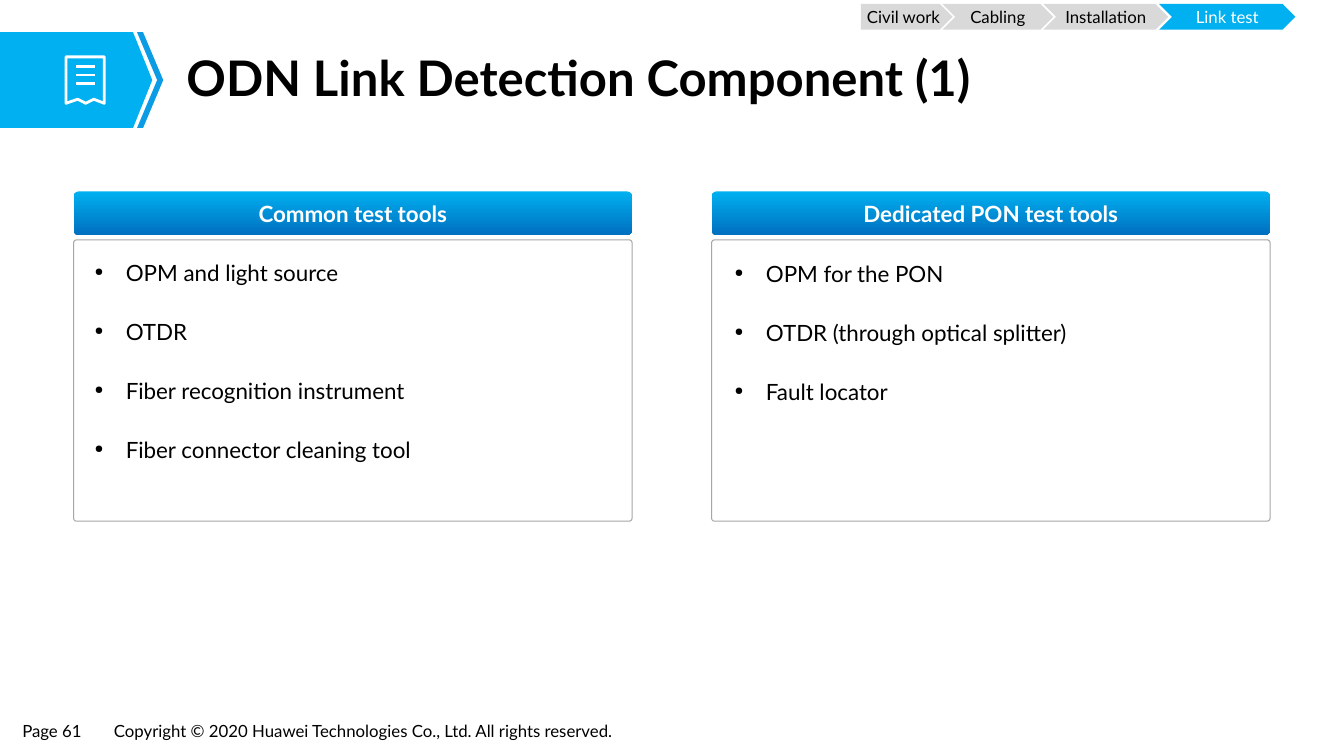
from dataclasses import dataclass
from typing import Any, NamedTuple

from lxml import etree
from pptx import Presentation
from pptx.dml.color import RGBColor
from pptx.enum.shapes import MSO_CONNECTOR, MSO_SHAPE
from pptx.enum.text import MSO_ANCHOR, MSO_AUTO_SIZE, PP_ALIGN
from pptx.oxml.ns import qn
from pptx.util import Inches, Pt

PENTAGON, CHEVRON = MSO_SHAPE.PENTAGON, MSO_SHAPE.CHEVRON
ROUNDED = MSO_SHAPE.ROUNDED_RECTANGLE
STRAIGHT = MSO_CONNECTOR.STRAIGHT
LEFT, CENTER = PP_ALIGN.LEFT, PP_ALIGN.CENTER
TOP, MIDDLE = MSO_ANCHOR.TOP, MSO_ANCHOR.MIDDLE
NO_AUTOFIT = MSO_AUTO_SIZE.NONE

SLIDE_WIDTH, SLIDE_HEIGHT = Inches(13.333), Inches(7.5)


@dataclass(frozen=True)
class Theme:
    font: str = "Lato"
    black: RGBColor = RGBColor(0x00, 0x00, 0x00)
    white: RGBColor = RGBColor(0xFF, 0xFF, 0xFF)
    cyan: RGBColor = RGBColor(0x00, 0xB0, 0xF0)
    stripe: RGBColor = RGBColor(0x0B, 0x9C, 0xE5)
    blue: RGBColor = RGBColor(0x00, 0x70, 0xC0)
    gray: RGBColor = RGBColor(0xD9, 0xD9, 0xD9)
    border: RGBColor = RGBColor(0xA6, 0xA6, 0xA6)
    title_size: int = 35
    body_size: int = 16
    small_size: int = 12


THEME = Theme()


class Area(NamedTuple):
    """A rectangle in percent of the slide's width and height."""
    left: float
    top: float
    width: float
    height: float


class Step(NamedTuple):
    label: str
    left: float
    width: float
    shape: Any = CHEVRON
    fill: RGBColor = THEME.gray
    color: RGBColor = THEME.black


class Panel(NamedTuple):
    heading: str
    items: list[str]
    left: float
    list_left: float
    list_top: float


class Footer(NamedTuple):
    text: str
    left: float
    width: float


STEPS = [
    Step("Civil work", 64.05, 6.83, PENTAGON),
    Step("Cabling", 70.12, 8.25),
    Step("Installation", 77.63, 9.3),
    Step("Link test", 86.25, 10.13, fill=THEME.cyan, color=THEME.white),
]
PANELS = [
    Panel("Common test tools",
          ["OPM and light source", "OTDR", "Fiber recognition instrument",
           "Fiber connector cleaning tool"], 5.48, 6.3, 31.87),
    Panel("Dedicated PON test tools",
          ["OPM for the PON", "OTDR (through optical splitter)",
           "Fault locator"], 52.95, 53.93, 32),
]
PANEL_WIDTH = 41.55
FOOTERS = [
    Footer("Page 61", 0.98, 6.08),
    Footer("Copyright © 2020 Huawei Technologies Co., Ltd. All rights reserved.",
           7.8, 40.57),
]
BANNER = [(0, 4.27), (9.9, 4.27), (11.33, 10.6), (9.9, 16.93), (0, 16.93)]
STRIPE = [(10.2, 4.27), (10.65, 4.27), (12.15, 10.6), (10.65, 16.93),
          (10.2, 16.93), (11.7, 10.6)]
RECEIPT = [(4.91, 7.53), (7.76, 7.53), (7.76, 13.67), (6.98, 13.13),
           (6.38, 13.67), (5.78, 13.13), (4.91, 13.67)]
RECEIPT_ROWS = [8.8, 9.93, 11.06]


def across(percent: float) -> int:
    return round(SLIDE_WIDTH * percent / 100)


def down(percent: float) -> int:
    return round(SLIDE_HEIGHT * percent / 100)


def place(area: Area) -> tuple[int, int, int, int]:
    return across(area.left), down(area.top), across(area.width), down(area.height)


def set_format(target: Any, values: dict[str, Any]) -> None:
    for name, value in values.items():
        setattr(target, name, value)


def set_margins(frame: Any, side: float, edge: float) -> None:
    set_format(frame, {"margin_left": Inches(side), "margin_right": Inches(side),
                       "margin_top": Inches(edge), "margin_bottom": Inches(edge)})


def write(para: Any, text: str, size: int, color: RGBColor = THEME.black,
          bold: bool = False, align: Any = LEFT) -> None:
    para.alignment = align
    span = para.add_run()
    span.text = text
    set_format(span.font, {"name": THEME.font, "size": Pt(size), "bold": bold})
    span.font.color.rgb = color


def add_preset(page: Any, kind: Any, area: Area) -> Any:
    shape = page.shapes.add_shape(kind, *place(area))
    shape.shadow.inherit = False
    shape.line.fill.background()
    shape.text_frame.vertical_anchor = MIDDLE
    return shape


def add_outline(page: Any, points: list[tuple[float, float]]) -> Any:
    corners = [(across(x), down(y)) for x, y in points]
    builder = page.shapes.build_freeform(*corners[0])
    builder.add_line_segments(corners[1:], close=True)
    shape = builder.convert_to_shape()
    shape.shadow.inherit = False
    return shape


def add_banner(page: Any) -> None:
    for points, color in ((BANNER, THEME.cyan), (STRIPE, THEME.stripe)):
        shape = add_outline(page, points)
        shape.fill.solid()
        shape.fill.fore_color.rgb = color
        shape.line.fill.background()
    receipt = add_outline(page, RECEIPT)
    receipt.fill.background()
    receipt.line.color.rgb = THEME.white
    receipt.line.width = Pt(2)
    for row in RECEIPT_ROWS:
        rule = page.shapes.add_connector(
            STRAIGHT, across(5.66), down(row), across(7.09), down(row))
        rule.line.color.rgb = THEME.white
        rule.line.width = Pt(1.75)
        etree.SubElement(rule.element.spPr, qn("a:effectLst"))


def add_title(page: Any, text: str) -> None:
    title = page.shapes.title
    title.left, title.top, title.width, title.height = place(Area(13.05, 6, 80.62, 9.33))
    frame = title.text_frame
    set_format(frame, {"vertical_anchor": MIDDLE, "auto_size": NO_AUTOFIT})
    set_margins(frame, 0.11, 0.06)
    para = frame.paragraphs[0]
    para.line_spacing = 0.9
    write(para, text, THEME.title_size, bold=True)


def add_step(page: Any, step: Step) -> None:
    shape = add_preset(page, step.shape, Area(step.left, 0.53, step.width, 3.4))
    shape.fill.solid()
    shape.fill.fore_color.rgb = step.fill
    set_margins(shape.text_frame, 0, 0)
    write(shape.text_frame.paragraphs[0], step.label, THEME.small_size,
          step.color, align=CENTER)


def add_bullet(para: Any) -> None:
    properties = para._p.get_or_add_pPr()
    properties.set("marL", str(Inches(0.31)))
    properties.set("indent", str(-Inches(0.31)))
    etree.SubElement(properties, qn("a:buSzPct"), val="50000")
    etree.SubElement(properties, qn("a:buChar"), char="●")


def add_panel(page: Any, panel: Panel) -> None:
    header = add_preset(page, ROUNDED, Area(panel.left, 25.33, PANEL_WIDTH, 5.73))
    header.adjustments[0] = 0.11
    header.fill.gradient()
    header.fill.gradient_angle = 270
    for stop, color in zip(header.fill.gradient_stops, (THEME.cyan, THEME.blue)):
        stop.color.rgb = color
    write(header.text_frame.paragraphs[0], panel.heading, THEME.body_size,
          THEME.white, bold=True, align=CENTER)

    body = add_preset(page, ROUNDED, Area(panel.left, 31.73, PANEL_WIDTH, 37.2))
    body.adjustments[0] = 0.01
    body.fill.background()
    body.line.color.rgb = THEME.border
    body.line.width = Pt(0.75)

    box = page.shapes.add_textbox(*place(Area(
        panel.list_left, panel.list_top, 40.6, 8.2 * len(panel.items))))
    frame = box.text_frame
    set_format(frame, {"word_wrap": True, "vertical_anchor": TOP})
    for index, item in enumerate(panel.items):
        para = frame.add_paragraph() if index else frame.paragraphs[0]
        add_bullet(para)
        set_format(para, {"line_spacing": 1.5, "space_after": Pt(6),
                          "space_before": Pt(7.4 if index else 0)})
        write(para, item, THEME.body_size)


def add_footer(page: Any, footer: Footer) -> None:
    box = page.shapes.add_textbox(*place(Area(footer.left, 94.8, footer.width, 3.87)))
    set_margins(box.text_frame, 0.09, 0.04)
    box.text_frame.word_wrap = False
    write(box.text_frame.paragraphs[0], footer.text, THEME.small_size)


def main() -> None:
    deck = Presentation()
    set_format(deck, {"slide_width": SLIDE_WIDTH, "slide_height": SLIDE_HEIGHT})
    page = deck.slides.add_slide(deck.slide_layouts[5])
    add_banner(page)
    add_title(page, "ODN Link Detection Component (1)")
    for panel in PANELS:
        add_panel(page, panel)
    for step in STEPS:
        add_step(page, step)
    for footer in FOOTERS:
        add_footer(page, footer)
    deck.save("out.pptx")


if __name__ == "__main__":
    main()
